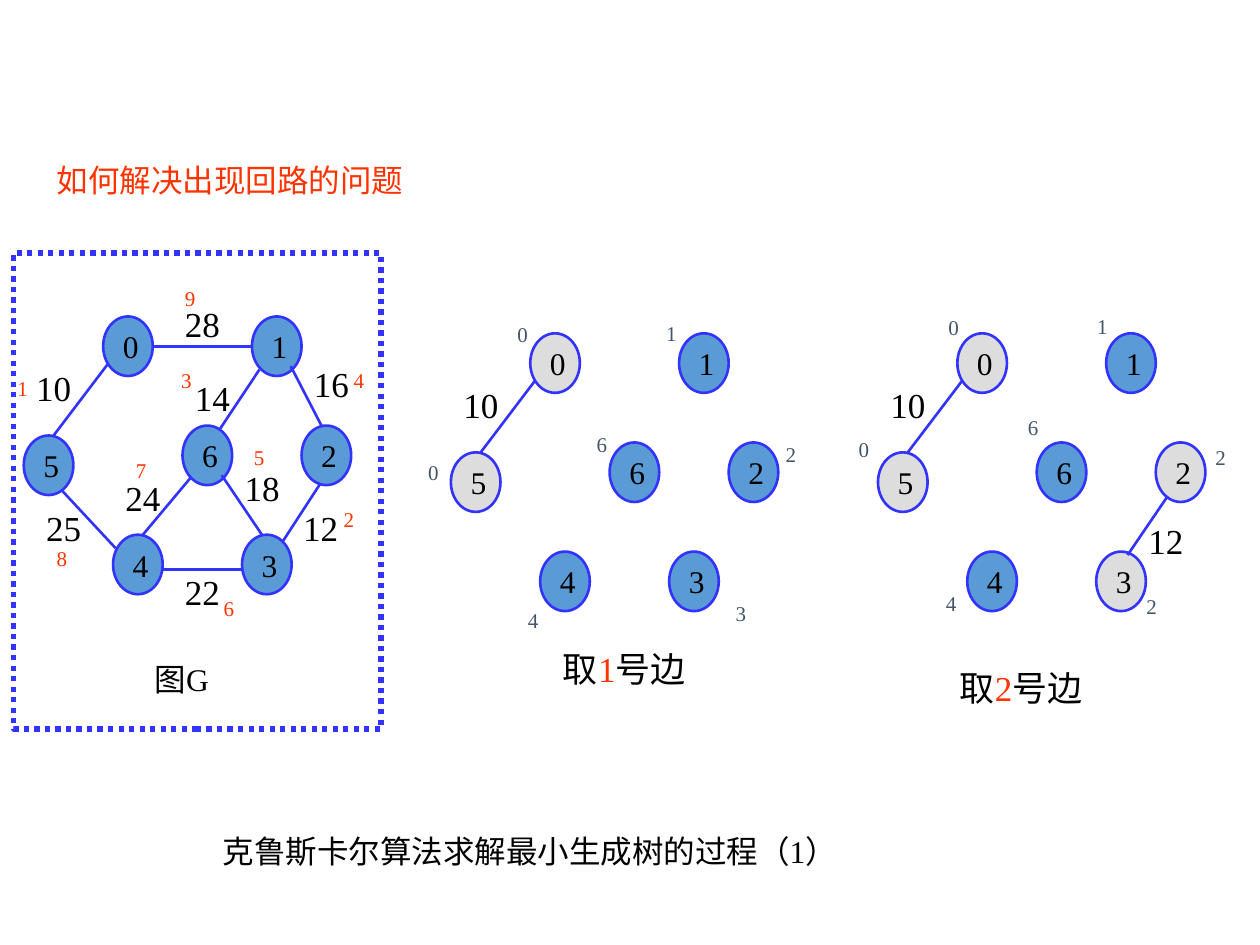
"""Draw the first steps of Kruskal's algorithm on a seven-node graph."""
from typing import NamedTuple

from lxml.etree import SubElement
from pptx import Presentation
from pptx.dml.color import RGBColor
from pptx.enum.dml import MSO_LINE_DASH_STYLE as Dash
from pptx.enum.shapes import MSO_CONNECTOR, MSO_SHAPE
from pptx.enum.text import MSO_ANCHOR, MSO_AUTO_SIZE, PP_ALIGN
from pptx.oxml.ns import qn
from pptx.util import Cm, Pt

Point = tuple[float, float]
Piece = tuple[str, str]

BLACK, RED, SLATE = "000000", "FF3300", "44546A"
OUTLINE, FREE, JOINED = "3333FF", "5B9BD5", "DDDDDD"
NODE_SIZE, WEIGHT_SIZE, TAG_SIZE = (1.0, 1.2), (1.4, 1.12), (0.79, 0.76)
CAPTION_SIZE = (3.81, 1.12)

NODES: dict[str, Point] = {
    "0": (0, 0), "1": (3, 0), "5": (-1.6, 2.4), "4": (0.2, 4.4),
    "3": (2.8, 4.4), "6": (1.6, 2.2), "2": (4, 2.2),
}


class Edge(NamedTuple):
    """An edge with its weight, both placed from the graph's origin."""
    start: Point
    end: Point
    weight: str
    weight_at: Point


class Tag(NamedTuple):
    """A small number placed from the graph's origin."""
    number: str
    at: Point


class Graph(NamedTuple):
    """One stage of the algorithm."""
    origin: Point
    joined: str
    edges: list[Edge]
    tags: list[Tag]
    tag_color: str
    caption: list[Piece]
    caption_at: Point
    caption_size: Point = CAPTION_SIZE
    caption_points: int = 20


EDGE_05 = Edge((0.1, 0.95), (-1, 2.4), "10", (-1.6, 0.89))
EDGE_23 = Edge((4.37, 3.38), (3.63, 4.52), "12", (3.78, 3.71))
TAKEN_23 = Edge((4.24, 3.28), (3.43, 4.47), "12", (3.6, 3.63))

GRAPHS = [
    Graph(
        (2.08, 6.38), "",
        [
            Edge((1, 0.6), (3, 0.6), "28", (1.4, -0.41)),
            EDGE_05,
            Edge((-0.84, 3.5), (0.25, 4.67), "25", (-1.4, 3.71)),
            Edge((1.2, 5.1), (2.82, 5.1), "22", (1.4, 5)),
            Edge((0.8, 4.4), (1.78, 3.23), "24", (0.2, 3.1)),
            Edge((2.39, 3.2), (3.2, 4.4), "18", (2.6, 2.9)),
            Edge((3.15, 1.07), (2.36, 2.26), "14", (1.6, 1.09)),
            Edge((3.78, 1), (4.4, 2.2), "16", (4, 0.81)),
            EDGE_23,
        ],
        [
            Tag("1", (-1.98, 1.07)), Tag("2", (4.6, 3.71)), Tag("3", (1.32, 0.91)),
            Tag("8", (-1.19, 4.5)), Tag("6", (2.18, 5.51)), Tag("7", (0.41, 2.72)),
            Tag("9", (1.4, -0.74)), Tag("5", (2.79, 2.46)), Tag("4", (4.8, 0.91)),
        ],
        RED, [("图G", BLACK)], (2.87, 13.18), (2.59, 1.02), 18,
    ),
    Graph(
        (10.69, 6.72), "05", [EDGE_05],
        [
            Tag("0", (-0.51, -0.36)), Tag("1", (2.49, -0.38)), Tag("0", (-2.31, 2.41)),
            Tag("6", (1.09, 1.85)), Tag("2", (4.9, 2.06)), Tag("4", (-0.3, 5.41)),
            Tag("3", (3.89, 5.26)),
        ],
        SLATE, [("取", BLACK), ("1", RED), ("号边", BLACK)], (11.1, 12.93),
    ),
    Graph(
        (19.3, 6.72), "0523", [EDGE_05, TAKEN_23],
        [
            Tag("0", (-0.43, -0.51)), Tag("1", (2.57, -0.53)), Tag("0", (-2.24, 1.96)),
            Tag("6", (1.17, 1.52)), Tag("2", (4.95, 2.11)), Tag("4", (-0.48, 5.05)),
            Tag("2", (3.56, 5.13)),
        ],
        SLATE, [("取", BLACK), ("2", RED), ("号边", BLACK)], (19.1, 13.31),
    ),
]


def rgb(color: str) -> RGBColor:
    """Turn a hex string into a colour."""
    return RGBColor.from_string(color)


def shift(origin: Point, offset: Point) -> Point:
    """Add an offset to an origin."""
    return origin[0] + offset[0], origin[1] + offset[1]


def write(frame, pieces: list[Piece], points: int) -> None:
    """Fill a frame with one left-aligned line of coloured pieces."""
    line = frame.paragraphs[0]
    line.text = pieces[0][0]
    for words, _ in pieces[1:]:
        line.add_run().text = words
    line.alignment = PP_ALIGN.LEFT
    for run, (_, color) in zip(line.runs, pieces):
        run.font.name = "Times New Roman"
        run.font.size = Pt(points)
        run.font.color.rgb = rgb(color)


def add_label(slide, at: Point, size: Point, pieces: list[Piece], points: int) -> None:
    """Add a wrapping text box."""
    frame = slide.shapes.add_textbox(*map(Cm, at + size)).text_frame
    frame.word_wrap = True
    frame.auto_size = MSO_AUTO_SIZE.SHAPE_TO_FIT_TEXT
    write(frame, pieces, points)


def add_node(slide, at: Point, number: str, fill: str) -> None:
    """Add a numbered ellipse."""
    node = slide.shapes.add_shape(MSO_SHAPE.OVAL, *map(Cm, at + NODE_SIZE))
    node.shadow.inherit = False
    node.fill.solid()
    node.fill.fore_color.rgb = rgb(fill)
    node.line.color.rgb = rgb(OUTLINE)
    node.line.width = Pt(1.5)
    node.text_frame.word_wrap = False
    node.text_frame.vertical_anchor = MSO_ANCHOR.MIDDLE
    write(node.text_frame, [(number, BLACK)], 18)


def add_edge(slide, origin: Point, edge: Edge) -> None:
    """Add an edge and its weight."""
    ends = shift(origin, edge.start) + shift(origin, edge.end)
    link = slide.shapes.add_connector(MSO_CONNECTOR.STRAIGHT, *map(Cm, ends))
    link.line.color.rgb = rgb(OUTLINE)
    link.line.width = Pt(1.5)
    SubElement(link._element.spPr, qn("a:effectLst"))
    add_label(slide, shift(origin, edge.weight_at), WEIGHT_SIZE, [(edge.weight, BLACK)], 20)


def add_graph(slide, graph: Graph) -> None:
    """Add one stage with nodes, edges, tags and caption."""
    for number, offset in NODES.items():
        fill = JOINED if number in graph.joined else FREE
        add_node(slide, shift(graph.origin, offset), number, fill)
    for edge in graph.edges:
        add_edge(slide, graph.origin, edge)
    for tag in graph.tags:
        add_label(slide, shift(graph.origin, tag.at), TAG_SIZE, [(tag.number, graph.tag_color)], 12)
    add_label(slide, graph.caption_at, graph.caption_size, graph.caption, graph.caption_points)


def add_frame(slide) -> None:
    """Add the dotted frame around the full graph."""
    frame = slide.shapes.add_shape(MSO_SHAPE.RECTANGLE, Cm(0.28), Cm(5.1), Cm(7.4), Cm(9.6))
    frame.shadow.inherit = False
    frame.fill.background()
    frame.line.color.rgb = rgb(OUTLINE)
    frame.line.width = Pt(3)
    frame.line.dash_style = Dash.ROUND_DOT


def main() -> None:
    """Build and save the slide."""
    deck = Presentation()
    deck.slide_width, deck.slide_height = Cm(25.4), Cm(19.05)
    slide = deck.slides.add_slide(deck.slide_layouts[5])
    title = slide.shapes.title
    title.left, title.top, title.width, title.height = map(Cm, (0.89, 3.12, 10.39, 1.02))
    title.text_frame.vertical_anchor = MSO_ANCHOR.TOP
    title.text_frame.auto_size = MSO_AUTO_SIZE.SHAPE_TO_FIT_TEXT
    write(title.text_frame, [("如何解决出现回路的问题", RED)], 18)
    add_frame(slide)
    for graph in GRAPHS:
        add_graph(slide, graph)
    summary = [("克鲁斯卡尔算法求解最小生成树的过程（1）", BLACK)]
    add_label(slide, (4.24, 16.64), (18.21, 1.02), summary, 18)
    deck.save("out.pptx")


if __name__ == "__main__":
    main()
